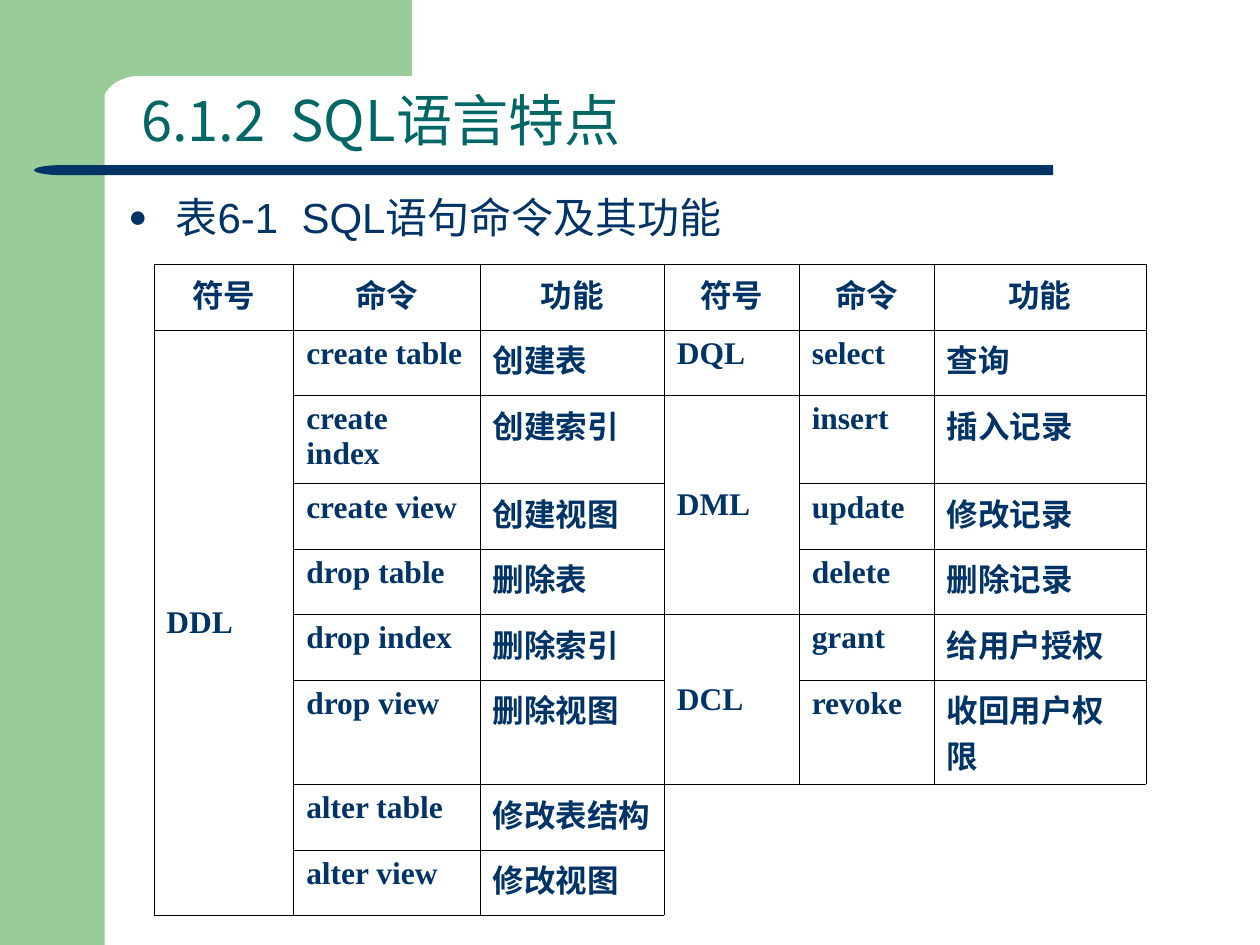
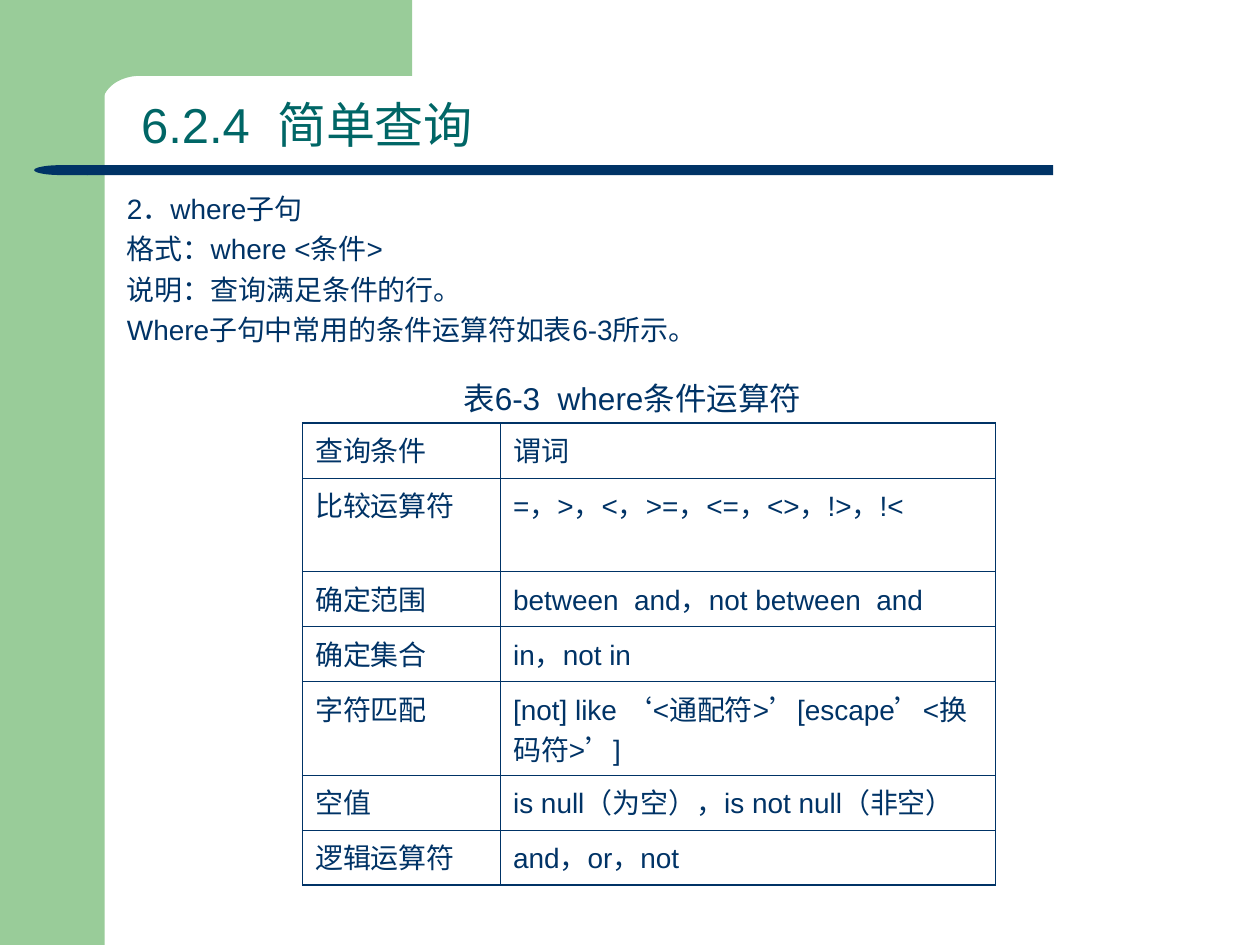
from math import cos, pi, sin

from lxml import etree
from pptx import Presentation
from pptx.dml.color import RGBColor
from pptx.enum.shapes import MSO_SHAPE
from pptx.enum.text import MSO_ANCHOR, MSO_AUTO_SIZE, PP_ALIGN
from pptx.oxml.ns import qn
from pptx.util import Cm, Pt

GREEN = RGBColor(0x99, 0xCC, 0x99)
TEAL = RGBColor(0x00, 0x66, 0x66)
NAVY = RGBColor(0x00, 0x33, 0x66)
BLACK = RGBColor(0x00, 0x00, 0x00)
RECTANGLE, DELAY = MSO_SHAPE.RECTANGLE, MSO_SHAPE.FLOWCHART_DELAY
MIDDLE, BOTTOM = MSO_ANCHOR.MIDDLE, MSO_ANCHOR.BOTTOM
LEFT, CENTER = PP_ALIGN.LEFT, PP_ALIGN.CENTER
NO_FIT = MSO_AUTO_SIZE.NONE
SANS, SERIF, CHINESE = "Arial", "Times New Roman", "Noto Sans CJK SC"
PLAIN_TABLE_STYLE = "{2D5ABB26-0587-4C30-8999-92F81FD0307C}"

COMMANDS_TITLE = "6.1.2  SQL语言特点"
COMMANDS_CAPTION = ["表6-1  SQL语句命令及其功能"]
COMMANDS = [
    ("符号", "命令", "功能", "符号", "命令", "功能"),
    ("DDL", "create table", "创建表", "DQL", "select", "查询"),
    ("", "create index", "创建索引", "DML", "insert", "插入记录"),
    ("", "create view", "创建视图", "", "update", "修改记录"),
    ("", "drop table", "删除表", "", "delete", "删除记录"),
    ("", "drop index", "删除索引", "DCL", "grant", "给用户授权"),
    ("", "drop view", "删除视图", "", "revoke", "收回用户权限"),
    ("", "alter table", "修改表结构"),
    ("", "alter view", "修改视图"),
]
COMMAND_COLUMNS = [2.82, 3.76, 3.71, 2.72, 2.72, 4.27]
COMMAND_ROWS = [1.32, 1.32, 1.73, 1.32, 1.32, 1.32, 2.1, 1.32, 1.32]
COMMAND_GROUPS = [(0, 1, 8), (3, 2, 4), (3, 5, 6)]

QUERY_TITLE = "6.2.4  简单查询"
QUERY_NOTES = [
    "2．where子句",
    "格式：where <条件>",
    "说明：查询满足条件的行。",
    "Where子句中常用的条件运算符如表6-3所示。",
]
OPERATORS_CAPTION = ["表6-3  where条件运算符"]
OPERATORS = [
    ("查询条件", "谓词"),
    ("比较运算符", "=，>，<，>=，<=，<>，!>，!<"),
    ("确定范围", "between  and，not between  and"),
    ("确定集合", "in，not in"),
    ("字符匹配", "[not] like ‘<通配符>’[escape’<换码符>’]"),
    ("空值", "is null（为空），is not null（非空）"),
    ("逻辑运算符", "and，or，not"),
]
OPERATOR_COLUMNS = [3.99, 9.98]
OPERATOR_ROWS = [1.11, 1.88, 1.11, 1.11, 1.88, 1.11, 1.11]
COMPARISON_CELL = (1, 1)


def write(frame, lines, size, font=SANS, color=NAVY, bold=False, align=LEFT,
          spacing=None, gap=0, hanging=0, bullet=None):
    frame.word_wrap = True
    for index, line in enumerate(lines):
        para = frame.add_paragraph() if index else frame.paragraphs[0]
        para.alignment = align
        if spacing:
            para.line_spacing = spacing
        if index and gap:
            para.space_before = Pt(gap)
        if hanging:
            properties = para._p.get_or_add_pPr()
            properties.set("marL", str(Cm(hanging)))
            properties.set("indent", str(-Cm(hanging)))
            if bullet:
                shade = etree.SubElement(properties, qn("a:buClr"))
                etree.SubElement(shade, qn("a:srgbClr"), val=str(color))
                etree.SubElement(properties, qn("a:buSzPct"), val="75000")
                etree.SubElement(properties, qn("a:buFont"), typeface=SANS)
                etree.SubElement(properties, qn("a:buChar"), char=bullet)
        span = para.add_run()
        span.text = line
        span.font.size = Pt(size)
        span.font.bold = bold
        span.font.color.rgb = color
        span.font.name = font
        etree.SubElement(span._r.get_or_add_rPr(), qn("a:ea"), typeface=CHINESE)


def add_box(slide, left, top, width, height, lines, size, **style):
    box = slide.shapes.add_textbox(Cm(left), Cm(top), Cm(width), Cm(height))
    write(box.text_frame, lines, size, **style)


def paint(shape, color):
    shape.shadow.inherit = False
    shape.fill.solid()
    shape.fill.fore_color.rgb = color
    shape.line.fill.background()


def add_block(slide, kind, left, top, width, height, color):
    block = slide.shapes.add_shape(kind, Cm(left), Cm(top), Cm(width), Cm(height))
    paint(block, color)
    return block


def add_corner(slide):
    center_x, center_y, radius_x, radius_y = 2.82, 2.11, 0.76, 0.58
    arc = [(center_x - radius_x * sin(step * pi / 24),
            center_y - radius_y * cos(step * pi / 24)) for step in range(13)]
    outline = [(8.31, 0), (8.31, 1.53), *arc, (2.06, 2.31), (1.27, 2.31), (1.27, 0)]
    points = [(Cm(x), Cm(y)) for x, y in outline]
    builder = slide.shapes.build_freeform(*points[0])
    builder.add_line_segments(points[1:], close=True)
    paint(builder.convert_to_shape(), GREEN)


def add_page(deck, title, size, font):
    slide = deck.slides.add_slide(deck.slide_layouts[5])
    add_block(slide, RECTANGLE, 0, 0, 2.11, 19.05, GREEN)
    add_corner(slide)
    add_block(slide, RECTANGLE, 1.75, 3.33, 19.48, 0.2, NAVY)
    cap = add_block(slide, DELAY, 0.69, 3.33, 1.08, 0.2, NAVY)
    cap.element.spPr.find(qn("a:xfrm")).set("flipH", "1")
    heading = slide.shapes.title
    heading.left, heading.top = Cm(2.59), Cm(1.83)
    heading.width, heading.height = Cm(20.8), Cm(1.4)
    heading.text_frame.auto_size = NO_FIT
    heading.text_frame.vertical_anchor = BOTTOM
    write(heading.text_frame, [title], size, font=font, color=TEAL, spacing=0.9)
    return slide


def set_borders(cell, color, widths):
    properties = cell._tc.get_or_add_tcPr()
    for side, width in zip("LRTB", widths):
        line = etree.SubElement(properties, qn("a:ln" + side), w=str(Pt(width)))
        fill = etree.SubElement(line, qn("a:solidFill"))
        etree.SubElement(fill, qn("a:srgbClr"), val=str(color))


def add_grid(slide, left, top, columns, rows, border, inner, outer):
    frame = slide.shapes.add_table(len(rows), len(columns), Cm(left), Cm(top),
                                   Cm(sum(columns)), Cm(sum(rows)))
    table = frame.table
    table.first_row = table.horz_banding = False
    table._tbl.tblPr.find(qn("a:tableStyleId")).text = PLAIN_TABLE_STYLE
    for column, width in zip(table.columns, columns):
        column.width = Cm(width)
    for row, height in zip(table.rows, rows):
        row.height = Cm(height)

    def fill_cell(row, column, text, size, **style):
        cell = table.cell(row, column)
        edges = (column == 0, column == len(columns) - 1,
                 row == 0, row == len(rows) - 1)
        set_borders(cell, border, [outer if edge else inner for edge in edges])
        cell.fill.background()
        if text:
            write(cell.text_frame, [text], size, **style)

    return table, fill_cell


def add_commands(slide):
    table, fill_cell = add_grid(slide, 3.1, 5.33, COMMAND_COLUMNS, COMMAND_ROWS,
                                BLACK, 0.23, 0.23)
    for row, texts in enumerate(COMMANDS):
        for column, text in enumerate(texts):
            fill_cell(row, column, text, 18, bold=True,
                      font=SERIF if text.isascii() else CHINESE,
                      align=LEFT if row else CENTER)
    for column, first, last in COMMAND_GROUPS:
        table.cell(first, column).merge(table.cell(last, column))
        table.cell(first, column).vertical_anchor = MIDDLE


def add_operators(slide):
    table, fill_cell = add_grid(slide, 6.1, 8.53, OPERATOR_COLUMNS, OPERATOR_ROWS,
                                NAVY, 0.45, 1.08)
    for row, texts in enumerate(OPERATORS):
        for column, text in enumerate(texts):
            fill_cell(row, column, text, 16)
    table.cell(*COMPARISON_CELL).margin_right = Cm(1.37)


def main():
    deck = Presentation()
    deck.slide_width, deck.slide_height = Cm(25.4), Cm(19.05)

    slide = add_page(deck, COMMANDS_TITLE, 32, CHINESE)
    add_box(slide, 2.34, 3.73, 19.96, 1.4, COMMANDS_CAPTION, 24,
            hanging=0.95, bullet="●")
    add_commands(slide)

    slide = add_page(deck, QUERY_TITLE, 28, SANS)
    add_box(slide, 2.31, 3.73, 21, 3.4, QUERY_NOTES, 16, gap=4, hanging=0.95)
    add_operators(slide)
    add_box(slide, 9.09, 7.52, 8, 1.02, OPERATORS_CAPTION, 18)

    deck.save("out.pptx")


if __name__ == "__main__":
    main()
